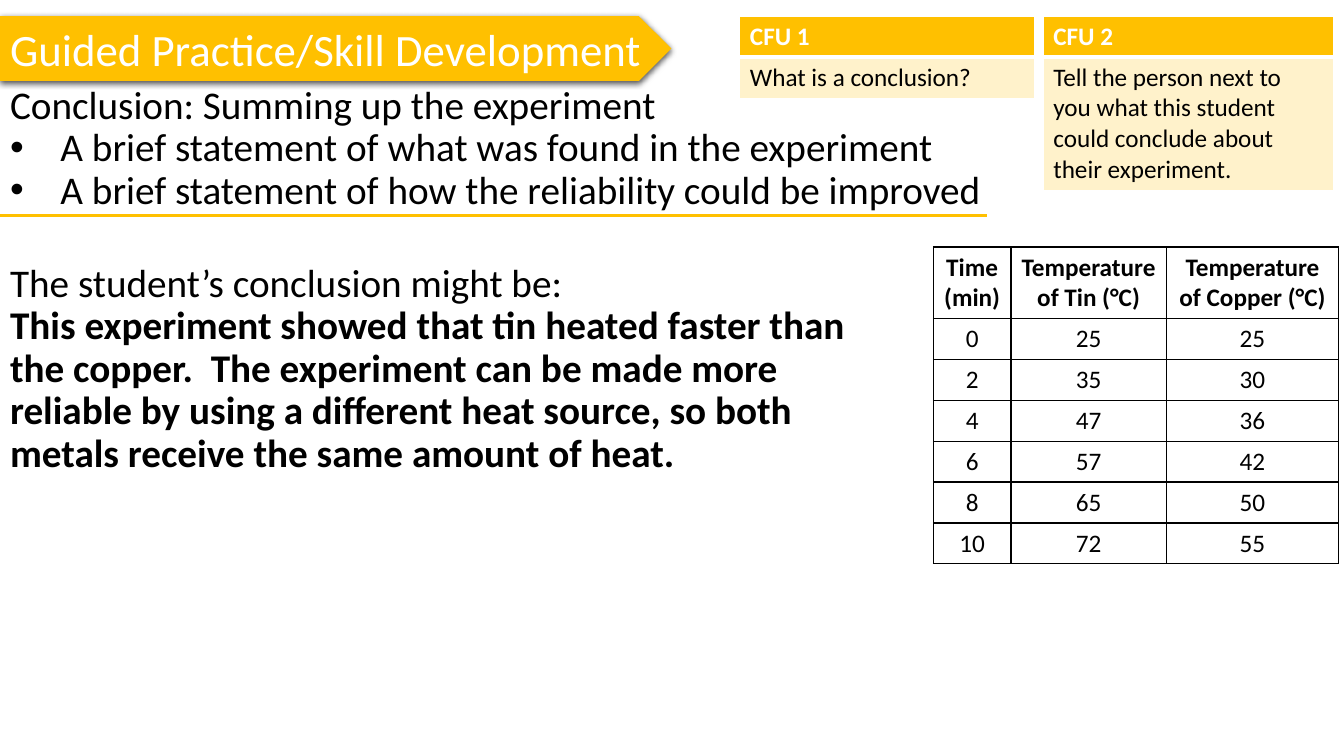
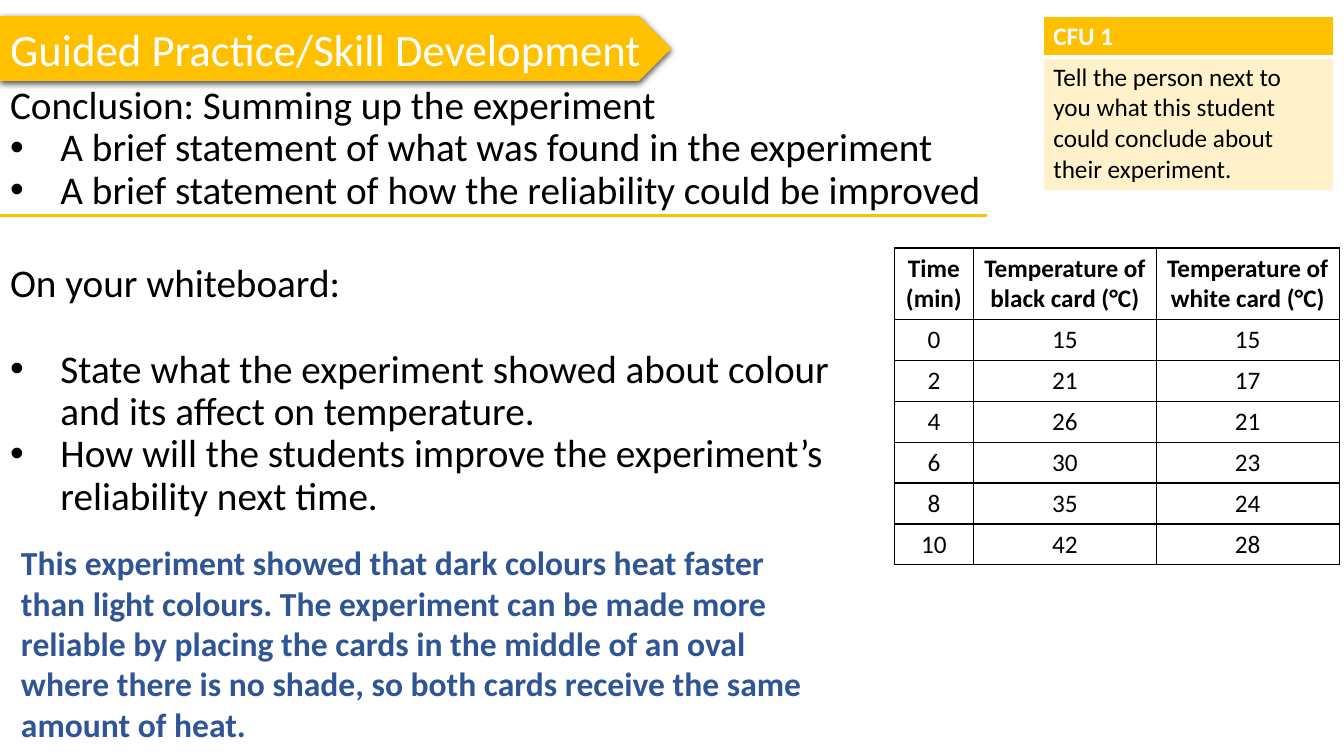
from dataclasses import dataclass

from lxml import etree
from pptx import Presentation
from pptx import util as u
from pptx.dml.color import RGBColor as RGB
from pptx.enum import shapes as es
from pptx.enum import text as et
from pptx.oxml import parse_xml
from pptx.oxml.ns import nsdecls, qn


@dataclass(frozen=True)
class Theme:
    font: str = "Calibri"
    gold: str = "FFC000"
    cream: str = "FFE699"
    white: str = "FFFFFF"
    black: str = "000000"
    blue: str = "2F5597"
    title: int = 32
    body: int = 28
    answer: int = 24
    cell: int = 18


theme = Theme()
line = 30.8  # one body line at 90 % spacing

plain = dict(size=u.Pt(theme.body), bold=False, color=theme.black)
strong = {**plain, "bold": True}
heading = {**plain, "size": u.Pt(theme.title), "color": theme.white}
answer = {**strong, "size": u.Pt(theme.answer), "color": theme.blue}
entry = {**plain, "size": u.Pt(theme.cell)}
label = {**entry, "bold": True}
prompt = {**label, "color": theme.white}

# each line: text, format, bulleted, space before
summary = [
    ("Conclusion: Summing up the experiment", plain, False, 0),
    ("A brief statement of what was found in the experiment", plain, True, 0),
    ("A brief statement of how the reliability could be improved", plain, True, 0),
]
ask = ("Tell the person next to you what this student could conclude "
       "about their experiment.")
right = (745.2, 207.4, 94.8)  # left, width, height of the text cell
middle = (528.5, 210.2, 29.5)

pages = [
    dict(
        wide=646,
        task=[
            ("The student’s conclusion might be:", plain, False, 0),
            ("This experiment showed that tin heated faster than the copper.  "
             "The experiment can be made more reliable by using a different heat "
             "source, so both metals receive the same amount of heat.",
             strong, False, 0),
        ],
        checks=[("CFU 2", ask, right), ("CFU 1", "What is a conclusion?", middle)],
        place=(666.7, 176.4),
        cols=(55.4, 111, 123.2),
        data=[("Time (min)", "Temperature of Tin (°C)", "Temperature of Copper (°C)"),
              (0, 25, 25), (2, 35, 30), (4, 47, 36),
              (6, 57, 42), (8, 65, 50), (10, 72, 55)],
        reply=None,
    ),
    dict(
        wide=634.3,
        task=[
            ("On your whiteboard:", plain, False, 0),
            ("State what the experiment showed about colour and its affect "
             "on temperature.", plain, True, line),
            ("How will the students improve the experiment’s reliability "
             "next time.", plain, True, 0),
        ],
        checks=[("CFU 1", ask, right)],
        place=(638.8, 177.1),
        cols=(56.6, 130.6, 130.6),
        data=[("Time (min)", "Temperature of black card (°C)",
               "Temperature of white card (°C)"),
              (0, 15, 15), (2, 21, 17), (4, 26, 21),
              (6, 30, 23), (8, 35, 24), (10, 42, 28)],
        reply="This experiment showed that dark colours heat faster than light "
              "colours. The experiment can be made more reliable by placing the "
              "cards in the middle of an oval where there is no shade, so both "
              "cards receive the same amount of heat.",
    ),
]


def write(frame, lines, space=1.0, align=et.PP_ALIGN.LEFT):
    """Fill a text frame with (text, format, bulleted, space before) lines."""
    frame.word_wrap = True
    for n, (words, look, dot, gap) in enumerate(lines):
        para = frame.add_paragraph() if n else frame.paragraphs[0]
        props = para._p.get_or_add_pPr()
        props.set("marL", str(u.Pt(36 if dot else 0)))
        props.set("indent", str(u.Pt(-36 if dot else 0)))
        if dot:
            etree.SubElement(props, qn("a:buFont")).set("typeface", "Arial")
            etree.SubElement(props, qn("a:buChar")).set("char", "•")
        else:
            etree.SubElement(props, qn("a:buNone"))
        for key, val in dict(alignment=align, line_spacing=space,
                             space_before=u.Pt(gap)).items():
            setattr(para, key, val)
        run = para.add_run()
        run.text = words
        run.font.name = theme.font
        run.font.color.rgb = RGB.from_string(look["color"])
        for key in ("size", "bold"):
            setattr(run.font, key, look[key])


def grid(slide, place, cols, rows, edge):
    """Add a plain table; yield each cell with its row number, edges drawn."""
    table = slide.shapes.add_table(
        len(rows), len(cols), *map(u.Pt, (*place, sum(cols), sum(rows)))).table
    table.first_row = table.horz_banding = False
    for col, wide in zip(table.columns, cols):
        col.width = u.Pt(wide)
    for r, (row, high) in enumerate(zip(table.rows, rows)):
        row.height = u.Pt(high)
        for c, cell in enumerate(row.cells):
            props = cell._tc.get_or_add_tcPr()
            for side in "LRTB":
                thick = edge["under"] if (r, side) in ((0, "B"), (1, "T")) else 1
                props.append(parse_xml(
                    f'<a:ln{side} {nsdecls("a")} w="{u.Pt(thick)}"><a:solidFill>'
                    f'<a:srgbClr val="{edge["color"]}"/></a:solidFill></a:ln{side}>'))
            yield r, c, cell


deck = Presentation()
deck.slide_width, deck.slide_height = u.Pt(960), u.Pt(540)

for page in pages:
    slide = deck.slides.add_slide(deck.slide_layouts.get_by_name("Two Content"))
    head, intro, task = slide.placeholders

    # Title on its arrow band
    spot = [u.Pt(v) for v in (0, 11.5, 479.5, 46.3)]
    band = slide.shapes.add_shape(es.MSO_SHAPE.PENTAGON, *spot)
    band.fill.solid()
    band.fill.fore_color.rgb = RGB.from_string(theme.gold)
    band.line.fill.background()
    band.shadow.inherit = False
    band._element.spPr.find(qn("a:effectLst")).append(parse_xml(
        f'<a:outerShdw {nsdecls("a")} blurRad="{u.Pt(4.5)}" dist="{u.Pt(1.5)}" '
        f'dir="5400000" algn="ctr" rotWithShape="0"><a:srgbClr val="{theme.black}">'
        '<a:alpha val="63000"/></a:srgbClr></a:outerShdw>'))
    head._element.addprevious(band._element)

    # Title, summary and task text
    for box, area, lines, space, hold in (
            (head, (0, 11.5, 479.5, 46.3),
             [("Guided Practice/Skill Development", heading, False, 0)],
             1.0, et.MSO_ANCHOR.MIDDLE),
            (intro, (0, 57.6, 724.3, 105.8), summary, 0.9, et.MSO_ANCHOR.TOP),
            (task, (0, 154 + line, page["wide"], 295), page["task"],
             0.9, et.MSO_ANCHOR.TOP)):
        box.left, box.top, box.width, box.height = map(u.Pt, area)
        box.text_frame.auto_size = et.MSO_AUTO_SIZE.NONE
        box.text_frame.vertical_anchor = hold
        write(box.text_frame, lines, space)

    # Rule under the summary
    rule = slide.shapes.add_connector(
        es.MSO_CONNECTOR.STRAIGHT, *map(u.Pt, (0, 154, 705, 154)))
    rule.line.color.rgb = RGB.from_string(theme.gold)
    rule.line.width = u.Pt(2.25)
    etree.SubElement(rule._element.spPr, qn("a:effectLst"))

    # Check-for-understanding prompts
    for name, words, (left, wide, high) in page["checks"]:
        for r, c, cell in grid(slide, (left, 11.5), [wide], [28.1, high],
                               dict(color=theme.white, under=3)):
            cell.fill.solid()
            cell.fill.fore_color.rgb = RGB.from_string(
                theme.cream if r else theme.gold)
            if r:
                tint = cell._tc.tcPr.find(qn("a:solidFill"))[0]
                etree.SubElement(tint, qn("a:alpha")).set("val", "50000")
            write(cell.text_frame,
                  [(words, entry, False, 0) if r else (name, prompt, False, 0)])

    # Results
    data = page["data"]
    for r, c, cell in grid(slide, page["place"], page["cols"],
                           [51] + [29.1] * (len(data) - 1),
                           dict(color=theme.black, under=1)):
        cell.fill.background()
        cell.vertical_anchor = et.MSO_ANCHOR.MIDDLE
        write(cell.text_frame,
              [(str(data[r][c]), entry if r else label, False, 0)],
              align=et.PP_ALIGN.CENTER)

    if page["reply"]:
        note = slide.shapes.add_textbox(*map(u.Pt, (7.9, 383.8, 581.8, 152.6)))
        write(note.text_frame, [(page["reply"], answer, False, 0)])

deck.save("out.pptx")
